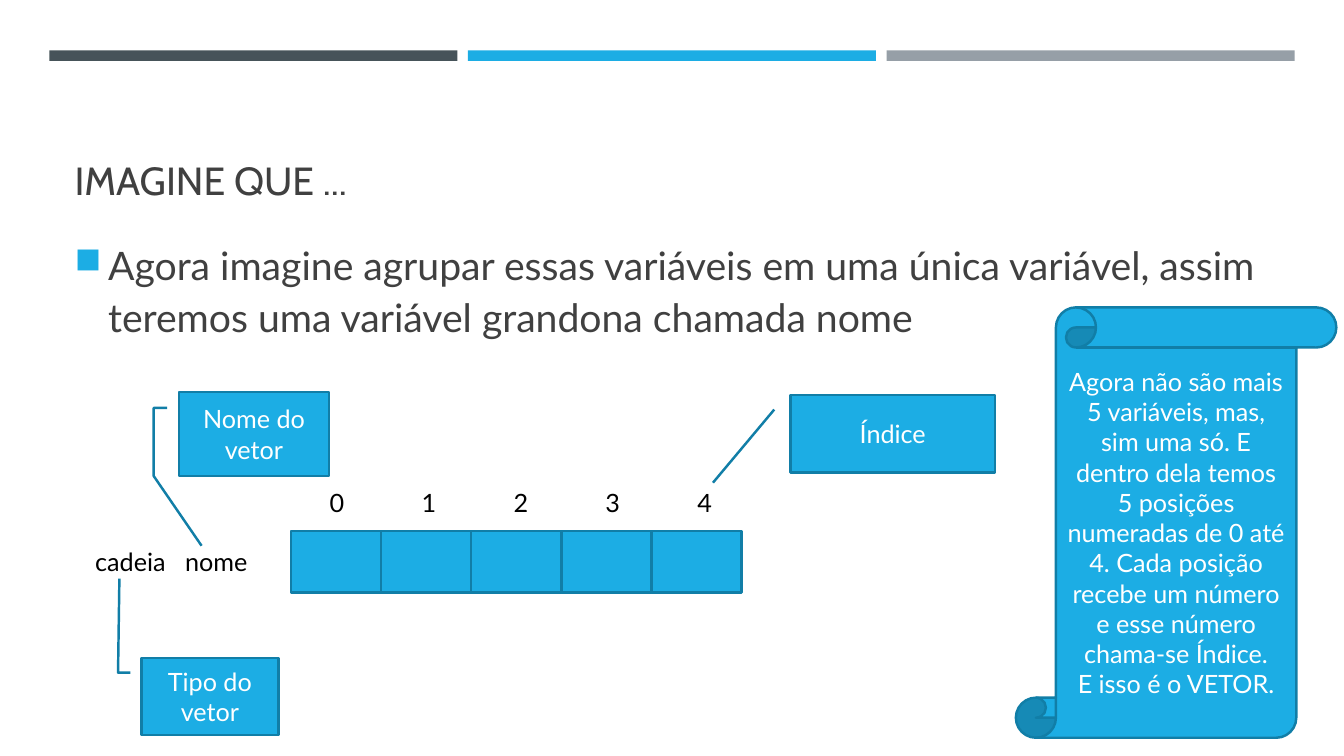
from dataclasses import dataclass

from lxml import etree
from pptx import Presentation
from pptx.dml.color import RGBColor
from pptx.enum.shapes import MSO_SHAPE
from pptx.enum.text import MSO_ANCHOR, PP_ALIGN
from pptx.oxml.ns import qn
from pptx.util import Pt

RECT = MSO_SHAPE.RECTANGLE
SCROLL = MSO_SHAPE.VERTICAL_SCROLL
CALLOUT_1 = MSO_SHAPE.LINE_CALLOUT_1
CALLOUT_2 = MSO_SHAPE.LINE_CALLOUT_2
CALLOUT_3 = MSO_SHAPE.LINE_CALLOUT_3
LEFT, CENTER = PP_ALIGN.LEFT, PP_ALIGN.CENTER
TOP, MIDDLE, BOTTOM = MSO_ANCHOR.TOP, MSO_ANCHOR.MIDDLE, MSO_ANCHOR.BOTTOM


@dataclass(frozen=True)
class Theme:
    accent: str = "1CADE4"
    border: str = "117EA7"
    slate: str = "465359"
    gray: str = "969FA7"
    ink: str = "404040"
    black: str = "000000"
    white: str = "FFFFFF"
    title_font: str = "Cabin"
    body_font: str = "Lato"
    large: float = 28
    small: float = 18
    border_width: float = 1.75


THEME = Theme()


def write(sp, *lines, size=THEME.small, color=THEME.black,
          font=THEME.body_font, align=LEFT, anchor=TOP):
    tf = sp.text_frame
    tf.word_wrap = True
    tf.vertical_anchor = anchor
    for i, line in enumerate(lines):
        p = tf.paragraphs[0] if i == 0 else tf.add_paragraph()
        p.alignment = align
        r = p.add_run()
        r.text = line
        r.font.size = Pt(size)
        r.font.name = font
        r.font.color.rgb = RGBColor.from_string(color)
    return tf


def add_text(slide, box, *lines, **fmt):
    sp = slide.shapes.add_textbox(*map(Pt, box))
    return write(sp, *lines, **fmt)


def add_block(slide, kind, box, fill=THEME.accent, line=THEME.border, adj=()):
    sp = slide.shapes.add_shape(kind, *map(Pt, box))
    sp.shadow.inherit = False
    sp.fill.solid()
    sp.fill.fore_color.rgb = RGBColor.from_string(fill)
    if line:
        sp.line.color.rgb = RGBColor.from_string(line)
        sp.line.width = Pt(THEME.border_width)
    else:
        sp.line.fill.background()
    for i, value in enumerate(adj):
        sp.adjustments[i] = value
    return sp


def add_label(slide, kind, box, *lines, adj=()):
    sp = add_block(slide, kind, box, adj=adj)
    write(sp, *lines, color=THEME.white, align=CENTER, anchor=MIDDLE)


def add_bullet(p, indent):
    pPr = p._p.get_or_add_pPr()
    pPr.set("marL", str(Pt(indent)))
    pPr.set("indent", str(-Pt(indent)))
    color = etree.SubElement(pPr, qn("a:buClr"))
    etree.SubElement(color, qn("a:srgbClr"), val=THEME.accent)
    etree.SubElement(pPr, qn("a:buSzPct"), val="92000")
    etree.SubElement(pPr, qn("a:buChar"), char="■")


def draw_header_bars(slide, box):
    x, y, w, h = box
    gap = 7.5
    bar_w = (w - 2 * gap) / 3
    for i, color in enumerate((THEME.slate, THEME.accent, THEME.gray)):
        add_block(slide, RECT, (x + i * (bar_w + gap), y, bar_w, h),
                  fill=color, line=None)


def draw_heading(slide, box):
    x, y, w, h = box
    add_text(slide, (x, y, w, 93.6), "IMAGINE QUE ...", size=THEME.large,
             color=THEME.ink, font=THEME.title_font, anchor=BOTTOM)
    tf = add_text(
        slide, (x, y + 110, w, h - 110),
        "Agora imagine agrupar essas variáveis em uma única variável, assim "
        "teremos uma variável grandona chamada nome",
        size=THEME.large, color=THEME.ink)
    p = tf.paragraphs[0]
    p.line_spacing = 1.1
    add_bullet(p, 24)


def draw_array(slide, box):
    x, y, w, h = box
    cells_x, cells_y, cell_h = x + 147, y + 99.4, 44
    cell_w = (w - 147) / 5
    for i in range(5):
        add_block(slide, RECT,
                  (cells_x + i * cell_w, cells_y, cell_w, cell_h))
        add_text(slide, (cells_x + 12.8 + i * 65.7, cells_y - 35.2, 40, 28.8),
                 str(i), align=CENTER)
    for dx, word in ((0, "cadeia"), (64.2, "nome")):
        add_text(slide, (x + dx, cells_y + 7.2, 75, 28.8), word)

    add_label(slide, CALLOUT_3, (x + 67, y, 107, 60), "Nome do vetor",
              adj=(0.19, -0.08, 0.19, -0.17, 1, -0.17, 1.83, 0.15))
    add_label(slide, CALLOUT_2, (x + 40, y + 190, 98, 55), "Tipo do vetor",
              adj=(0.19, -0.08, 0.19, -0.17, -1.03, -0.16))
    add_label(slide, CALLOUT_1, (x + 504, y + 2, 146, 55.6), "Índice",
              adj=(0.19, -0.08, 1.13, -0.38))


def draw_scroll(slide, box):
    add_label(slide, SCROLL, box,
              "Agora não são mais 5 variáveis, mas, sim uma só. E dentro dela "
              "temos 5 posições numeradas de 0 até 4. Cada posição recebe um "
              "número e esse número chama-se Índice.",
              "E isso é o VETOR.", adj=(0.125,))


def main():
    prs = Presentation()
    prs.slide_width, prs.slide_height = Pt(960.5), Pt(540)
    slide = prs.slides.add_slide(prs.slide_layouts[6])
    draw_header_bars(slide, (35.2, 36, 890, 7.5))
    draw_heading(slide, (46.2, 55.4, 868.3, 200))
    draw_array(slide, (61, 280, 469, 245))
    draw_scroll(slide, (726, 219.6, 229, 307.4))
    prs.save("out.pptx")


if __name__ == "__main__":
    main()
